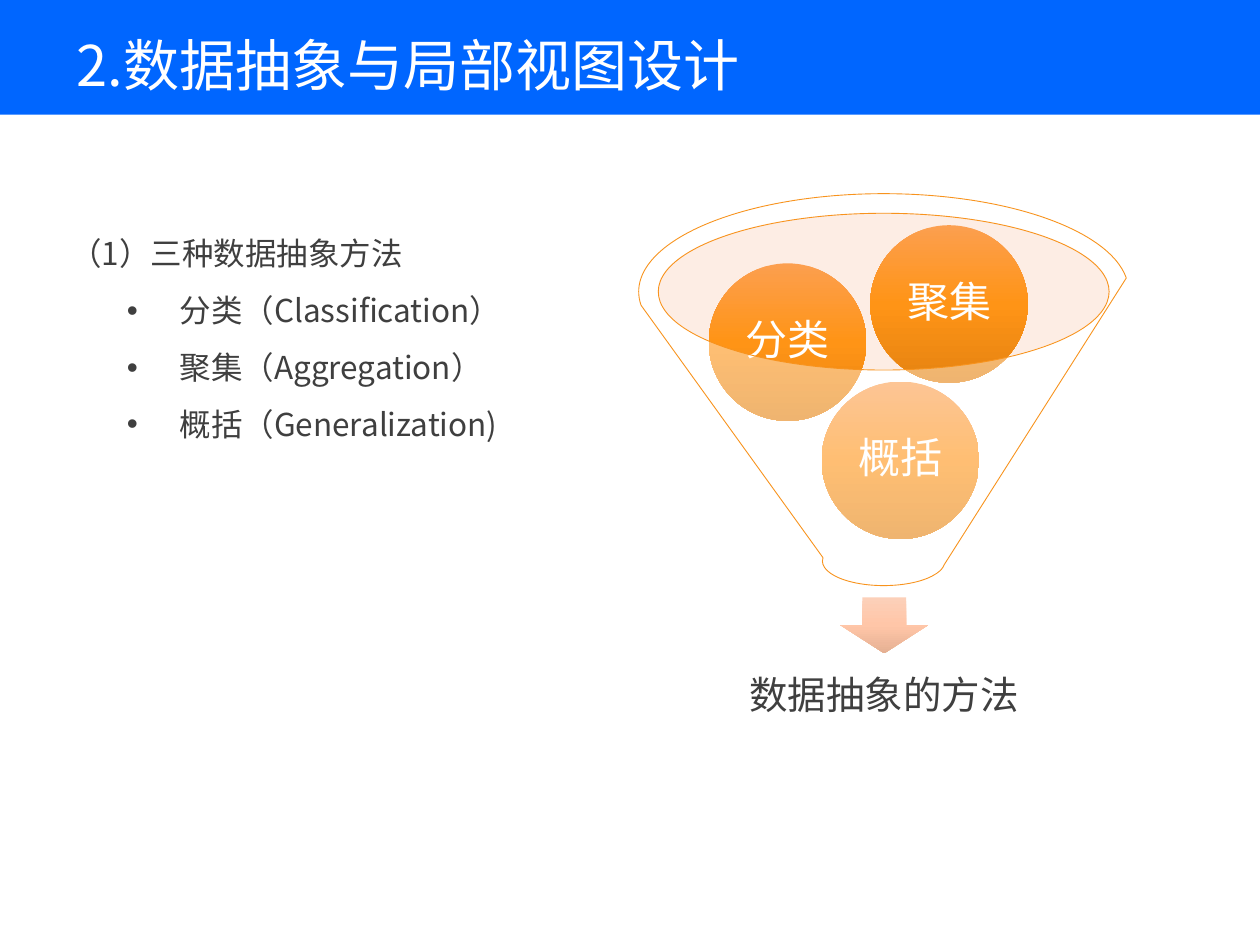
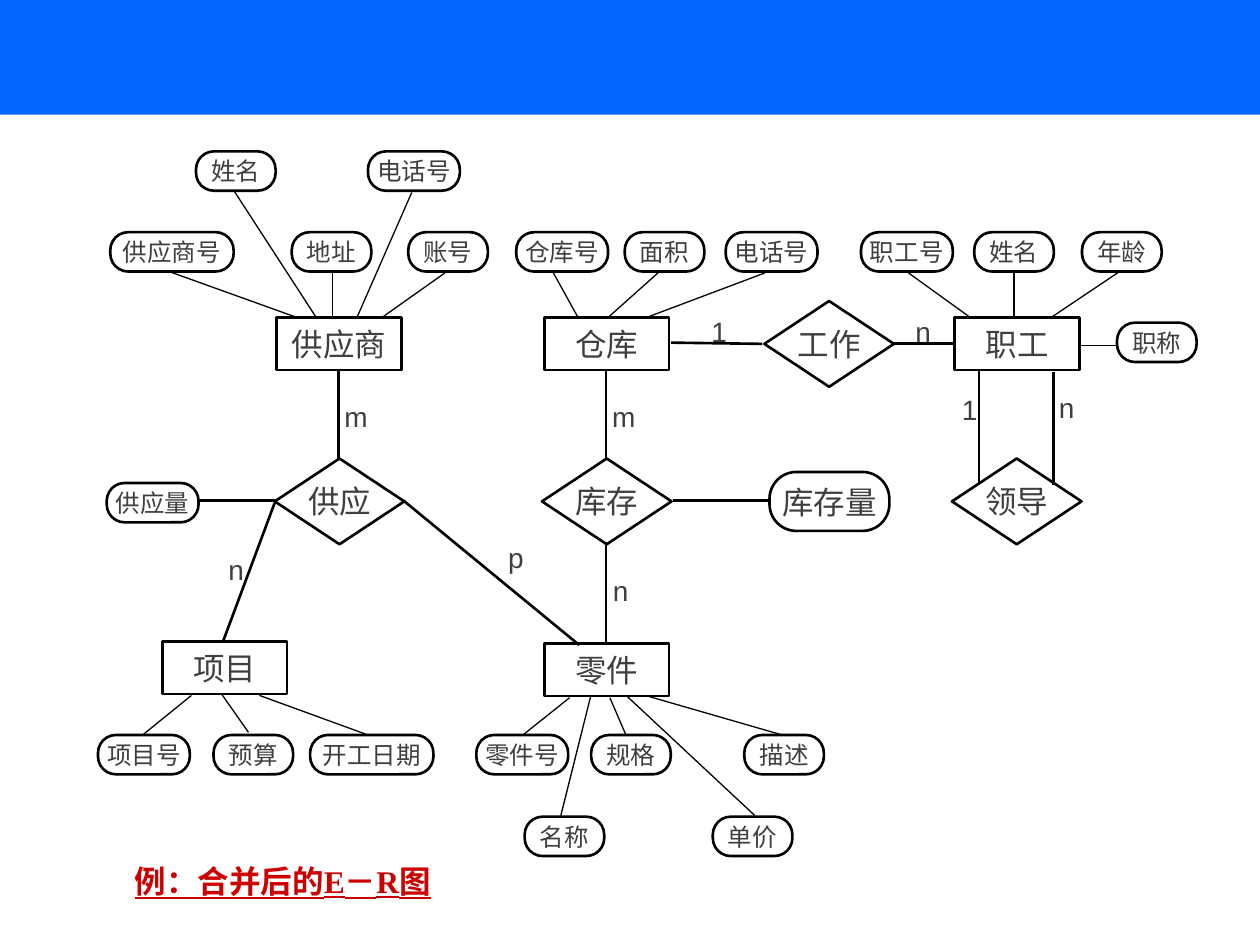
from lxml import etree
from pptx import Presentation
from pptx.dml.color import RGBColor
from pptx.enum.shapes import MSO_CONNECTOR, MSO_SHAPE
from pptx.enum.text import MSO_ANCHOR, PP_ALIGN
from pptx.oxml.ns import qn
from pptx.util import Pt

RECT, ROUND, DIAMOND = MSO_SHAPE.RECTANGLE, MSO_SHAPE.ROUNDED_RECTANGLE, MSO_SHAPE.DIAMOND
OVAL, ARROW, FUNNEL = MSO_SHAPE.OVAL, MSO_SHAPE.DOWN_ARROW, MSO_SHAPE.FUNNEL
STRAIGHT = MSO_CONNECTOR.STRAIGHT
TOP, MIDDLE = MSO_ANCHOR.TOP, MSO_ANCHOR.MIDDLE
LEFT, CENTER, JUSTIFY = PP_ALIGN.LEFT, PP_ALIGN.CENTER, PP_ALIGN.JUSTIFY

BLUE = RGBColor(0x00, 0x66, 0xFF)
WHITE = RGBColor(0xFF, 0xFF, 0xFF)
BLACK = RGBColor(0x00, 0x00, 0x00)
GRAY = RGBColor(0x3F, 0x3F, 0x3F)
RED = RGBColor(0xCC, 0x00, 0x00)
ORANGE = RGBColor(0xF8, 0x93, 0x1D)
PEACH = RGBColor(0xFC, 0xD2, 0xBD)
BALL_STOPS = ("FC9F4F", "FF9416", "E58311")
ARROW_STOPS = ("FCD0B9", "FFC6A8", "E5B093")
CJK, SERIF, SANS = "Noto Sans CJK SC", "Times New Roman", "Arial"


def add_shape(s, kind, x, y, w, h, fill=None, line=None, width=1.5):
    sp = s.shapes.add_shape(kind, Pt(x), Pt(y), Pt(w), Pt(h))
    sp.shadow.inherit = False
    if fill is None:
        sp.fill.background()
    else:
        sp.fill.solid()
        sp.fill.fore_color.rgb = fill
    if line is None:
        sp.line.fill.background()
    else:
        sp.line.color.rgb = line
        sp.line.width = Pt(width)
    return sp


def write(sp, text, size, font, color=GRAY, align=CENTER, anchor=MIDDLE, wrap=True):
    tf = sp.text_frame
    tf.word_wrap = wrap
    tf.vertical_anchor = anchor
    p = tf.paragraphs[0] if not tf.text else tf.add_paragraph()
    p.alignment = align
    r = p.add_run()
    r.text = text
    r.font.size = Pt(size)
    r.font.name = font
    r.font.color.rgb = color
    etree.SubElement(r.font._element, qn("a:ea"), typeface=CJK)
    return p


prs = Presentation()
prs.slide_width, prs.slide_height = Pt(720), Pt(540)
slides = [prs.slides.add_slide(prs.slide_layouts[6]) for _ in range(2)]
for s in slides:
    add_shape(s, RECT, 0, 0, 723, 65.5, BLUE)

s = slides[0]
title = s.shapes.add_textbox(Pt(36.7), Pt(8.6), Pt(647), Pt(56))
write(title, "2.数据抽象与局部视图设计", 32, CJK, WHITE, LEFT)

methods = s.shapes.add_textbox(Pt(33), Pt(119.5), Pt(397), Pt(171))
for text in ("（1）三种数据抽象方法", "分类（Classification）", "聚集（Aggregation）", "概括（Generalization)"):
    p = write(methods, text, 18, CJK, align=JUSTIFY, anchor=TOP)
    p.line_spacing = Pt(32.5)
    if not text.startswith("（"):
        pPr = p._p.get_or_add_pPr()
        pPr.set("marL", str(Pt(62.6)))
        pPr.set("indent", str(Pt(-30.2)))
        etree.SubElement(pPr, qn("a:buFont"), typeface=SANS)
        etree.SubElement(pPr, qn("a:buChar"), char="•")

mouth = add_shape(s, OVAL, 376, 121.7, 258, 89.3, PEACH)
arrow = add_shape(s, ARROW, 480.3, 341.3, 50, 32, WHITE)
result = s.shapes.add_textbox(Pt(385.2), Pt(366.5), Pt(240), Pt(60))
write(result, "数据抽象的方法", 22, CJK)

graded = [(arrow, ARROW_STOPS)]
for text, x, y in (("概括", 469.5, 218), ("分类", 405, 150.5), ("聚集", 497.3, 128.7)):
    ball = add_shape(s, OVAL, x, y, 90, 90, WHITE)
    tf = ball.text_frame
    tf.margin_left = tf.margin_right = tf.margin_top = tf.margin_bottom = Pt(2)
    write(ball, text, 24, SANS, WHITE).line_spacing = 0.9
    graded.append((ball, BALL_STOPS))

for sp, colors in graded:
    sp.fill.gradient()
    grad = sp._element.spPr.find(qn("a:gradFill"))
    for child in list(grad):
        grad.remove(child)
    stops = etree.SubElement(grad, qn("a:gsLst"))
    for i, color in enumerate(colors):
        stop = etree.SubElement(stops, qn("a:gs"), pos=str(i * 50000))
        etree.SubElement(stop, qn("a:srgbClr"), val=color)
    etree.SubElement(grad, qn("a:lin"), ang="5400000", scaled="0")

funnel = add_shape(s, FUNNEL, 365, 110.7, 280, 224, WHITE, ORANGE, 0.5)
for sp in (mouth, funnel):
    color = sp._element.spPr.find(qn("a:solidFill")).find(qn("a:srgbClr"))
    etree.SubElement(color, qn("a:alpha"), val="40000")

s = slides[1]
nodes = []
for text, x, y in (
    ("供应商", 158, 181.5), ("仓库", 311, 181.5), ("职工", 545.5, 181.5),
    ("项目", 92.8, 366.7), ("零件", 311, 367.8),
):
    nodes.append((RECT, text, x, y, 71.3, 30, 18))
for text, x, y in (("库存", 309.7, 262), ("供应", 157, 262), ("工作", 436.8, 172), ("领导", 544, 262)):
    nodes.append((DIAMOND, text, x, y, 74, 49, 18))

ATTR_WIDTHS = {2: 45.5, 3: 52.5, 4: 70.5}
attr_rows = (
    (86.5, (("姓名", 112), ("电话号", 210.3))),
    (132.7, (("供应商号", 63), ("地址", 166.7), ("账号", 233.3), ("仓库号", 295), ("面积", 357),
             ("电话号", 414.7), ("职工号", 492), ("姓名", 556.7), ("年龄", 618.3))),
    (184.4, (("职称", 638.3),)),
    (276, (("供应量", 61),)),
    (420, (("项目号", 56), ("预算", 122), ("开工日期", 177.2), ("零件号", 272.2), ("规格", 337.8), ("描述", 425.3))),
    (466.7, (("名称", 299.8), ("单价", 407.3))),
)
for y, attrs in attr_rows:
    for text, x in attrs:
        nodes.append((ROUND, text, x, y, ATTR_WIDTHS[len(text)], 22.5, 14))
nodes.append((ROUND, "库存量", 439.7, 269.7, 68.5, 33.7, 18))

for kind, text, x, y, w, h, size in nodes:
    sp = add_shape(s, kind, x, y, w, h, line=BLACK)
    if kind == ROUND:
        sp.adjustments[0] = 0.456
    write(sp, text, size, SERIF, wrap=False)

relation_lines = (
    (193.5, 262.8, 193.5, 211.7), (346.3, 262.8, 346.3, 211.7), (346.3, 309.6, 346.3, 368),
    (157, 286, 114, 286), (384.5, 286, 440, 286), (435.6, 196.5, 383.5, 195.8),
    (511, 196.3, 544.5, 196.3), (559.4, 211.7, 559.4, 276), (602, 212.4, 602, 277),
    (157, 287.3, 127.5, 366.5), (230.5, 286, 331, 368.6),
)
attr_lines = (
    (109.4, 397.4, 81.5, 420), (126.7, 396.7, 142, 418.5), (148.3, 397.4, 210.3, 420),
    (325.5, 398.7, 298.8, 420), (348.5, 398.7, 357.7, 420), (337.5, 398, 320.5, 466),
    (357.8, 397.4, 431.3, 466), (370.8, 398, 447, 420), (97.5, 155.5, 168.5, 181),
    (134, 109.5, 180.7, 181.4), (190, 155.5, 190, 181), (235.3, 110, 204, 181.4),
    (254.2, 156, 218.3, 181.4), (316, 155.5, 330.3, 181.4), (376.5, 155.5, 347.5, 181.4),
    (437, 156, 369.5, 181.4), (519.2, 156, 554.4, 181.4), (579.5, 155.5, 579.5, 181.4),
    (639.3, 155.5, 600.7, 181.4), (617, 197.3, 638, 197.3),
)
for width, lines in ((1.5, relation_lines), (0.75, attr_lines)):
    for ends in lines:
        c = s.shapes.add_connector(STRAIGHT, *[Pt(v) for v in ends])
        c.line.color.rgb = BLACK
        c.line.width = Pt(width)
        etree.SubElement(c._element.spPr, qn("a:effectLst"))

for text, x, y in (
    ("m", 180, 224.6), ("n", 111.5, 312.5), ("p", 271.3, 305.5), ("n", 331.2, 324),
    ("m", 333, 224.6), ("1", 387.4, 176.4), ("n", 504, 176.4), ("1", 530.6, 221), ("n", 586, 219.7),
):
    label = s.shapes.add_textbox(Pt(x), Pt(y), Pt(47), Pt(26.6))
    write(label, text, 16, SANS, anchor=TOP)

caption = s.shapes.add_textbox(Pt(70), Pt(489), Pt(224.6), Pt(29))
r = write(caption, "例：合并后的E－R图", 18, SERIF, RED, LEFT, TOP).runs[0]
r.font.bold = r.font.underline = True

prs.save("out.pptx")
